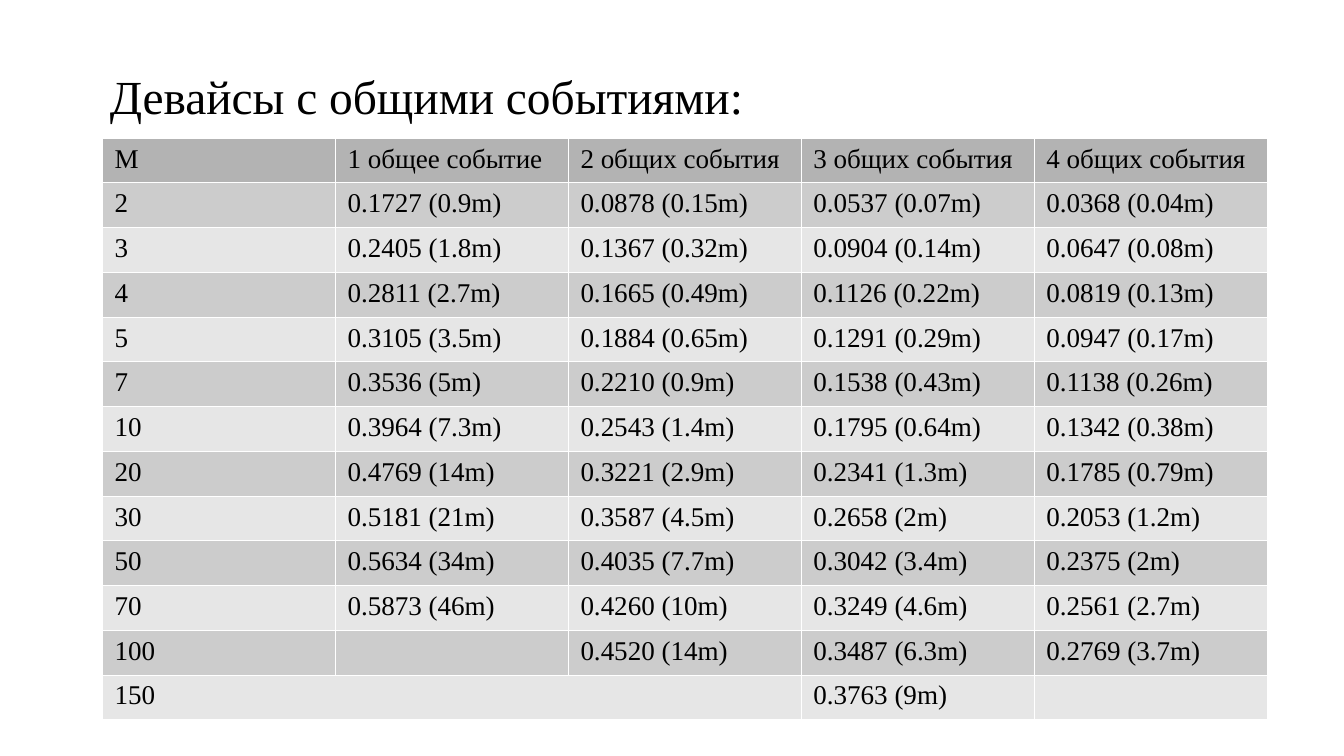
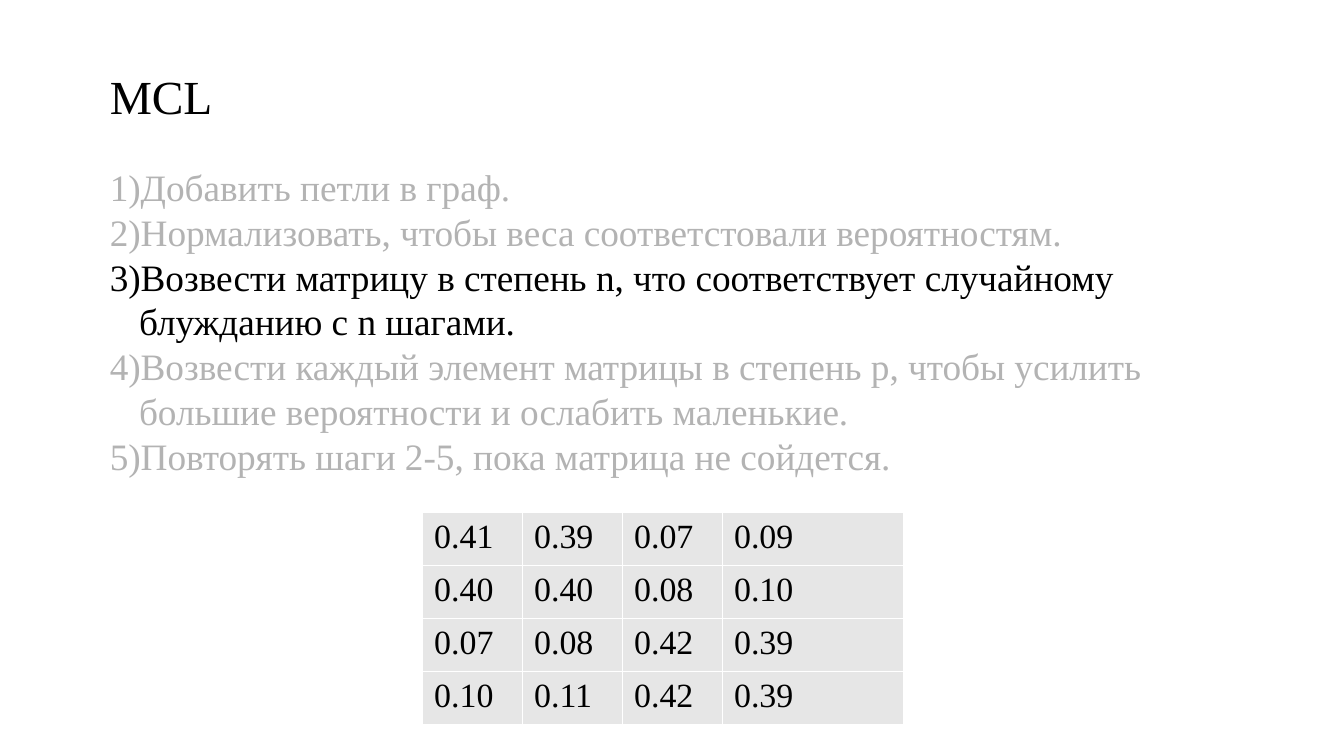
from dataclasses import dataclass, field

from lxml.etree import SubElement
from pptx import Presentation
from pptx.dml.color import RGBColor
from pptx.enum.text import MSO_ANCHOR, MSO_AUTO_SIZE, PP_ALIGN
from pptx.oxml.ns import qn
from pptx.shapes.placeholder import SlidePlaceholder
from pptx.slide import Slide
from pptx.table import _Cell as Cell
from pptx.text.text import _Paragraph as Paragraph
from pptx.util import Inches, Pt

FONT = "Times New Roman"
COLORS = {
    "text": "000000",
    "muted": "B3B3B3",
    "header": "B3B3B3",
    "dark_row": "CCCCCC",
    "light_row": "E6E6E6",
    "border": "FFFFFF",
}
TEXT_LEFT, TEXT_WIDTH = 0.8, 9.4
BORDER_WIDTH = Pt(0.06)
NO_STYLE_ID = "{2D5ABB26-0587-4C30-8999-92F81FD0307C}"
TITLE_ONLY, TITLE_AND_BODY = 5, 1

EVENT_ROWS = [
    ["M", "1 общее событие", "2 общих события", "3 общих события", "4 общих события"],
    ["2", "0.1727 (0.9m)", "0.0878 (0.15m)", "0.0537 (0.07m)", "0.0368 (0.04m)"],
    ["3", "0.2405 (1.8m)", "0.1367 (0.32m)", "0.0904 (0.14m)", "0.0647 (0.08m)"],
    ["4", "0.2811 (2.7m)", "0.1665 (0.49m)", "0.1126 (0.22m)", "0.0819 (0.13m)"],
    ["5", "0.3105 (3.5m)", "0.1884 (0.65m)", "0.1291 (0.29m)", "0.0947 (0.17m)"],
    ["7", "0.3536 (5m)", "0.2210 (0.9m)", "0.1538 (0.43m)", "0.1138 (0.26m)"],
    ["10", "0.3964 (7.3m)", "0.2543 (1.4m)", "0.1795 (0.64m)", "0.1342 (0.38m)"],
    ["20", "0.4769 (14m)", "0.3221 (2.9m)", "0.2341 (1.3m)", "0.1785 (0.79m)"],
    ["30", "0.5181 (21m)", "0.3587 (4.5m)", "0.2658 (2m)", "0.2053 (1.2m)"],
    ["50", "0.5634 (34m)", "0.4035 (7.7m)", "0.3042 (3.4m)", "0.2375 (2m)"],
    ["70", "0.5873 (46m)", "0.4260 (10m)", "0.3249 (4.6m)", "0.2561 (2.7m)"],
    ["100", "", "0.4520 (14m)", "0.3487 (6.3m)", "0.2769 (3.7m)"],
    ["150", "", "", "0.3763 (9m)", ""],
]
MATRIX_ROWS = [
    ["0.41", "0.39", "0.07", "0.09"],
    ["0.40", "0.40", "0.08", "0.10"],
    ["0.07", "0.08", "0.42", "0.39"],
    ["0.10", "0.11", "0.42", "0.39"],
]


@dataclass
class Step:
    text: str
    color: str = "muted"


@dataclass
class Grid:
    """A table; open_edges lists the sides of a cell that have no border."""
    left: float
    top: float
    columns: list[float]
    height: float
    size: int
    rows: list[list[str]]
    fills: list[str]
    open_edges: dict[tuple[int, int], str] = field(default_factory=dict)


STEPS = [
    Step("Добавить петли в граф."),
    Step("Нормализовать, чтобы веса соответстовали вероятностям."),
    Step("Возвести матрицу в степень n, что соответствует случайному "
         "блужданию с n шагами.", "text"),
    Step("Возвести каждый элемент матрицы в степень p, чтобы усилить "
         "большие вероятности и ослабить маленькие."),
    Step("Повторять шаги 2-5, пока матрица не сойдется."),
]
EVENTS = Grid(
    0.84, 1.13, [1.91] * 5, 4.76, 16, EVENT_ROWS,
    ["header"] + ["dark_row", "light_row"] * 6,
    {(11, 1): "B", (12, 0): "R", (12, 1): "LRTB", (12, 2): "L"},
)
MATRIX = Grid(3.46, 4.2, [0.82, 0.82, 0.82, 1.49], 1.72, 20, MATRIX_ROWS,
              ["light_row"] * 4)


def style_runs(paragraph: Paragraph, size: int, color: str = "text") -> None:
    for run in paragraph.runs:
        run.font.name = FONT
        run.font.size = Pt(size)
        run.font.color.rgb = RGBColor.from_string(COLORS[color])


def fill_placeholder(holder: SlidePlaceholder, text: str, top: float,
                     height: float) -> list[Paragraph]:
    """Place the holder in the text column and return its new paragraphs."""
    holder.left, holder.top = Inches(TEXT_LEFT), Inches(top)
    holder.width, holder.height = Inches(TEXT_WIDTH), Inches(height)
    frame = holder.text_frame
    frame.text = text
    frame.vertical_anchor = MSO_ANCHOR.TOP
    frame.word_wrap = True
    frame.auto_size = MSO_AUTO_SIZE.SHAPE_TO_FIT_TEXT
    return list(frame.paragraphs)


def add_titled_slide(deck: Presentation, layout: int, title: str) -> Slide:
    slide = deck.slides.add_slide(deck.slide_layouts[layout])
    for paragraph in fill_placeholder(slide.shapes.title, title, 0.5, 0.53):
        paragraph.alignment = PP_ALIGN.LEFT
        style_runs(paragraph, 28)
    return slide


def number_paragraph(paragraph: Paragraph, color: str) -> None:
    properties = paragraph._p.get_or_add_pPr()
    properties.set("marL", str(Inches(0.24)))
    properties.set("indent", str(-Inches(0.24)))
    number_color = SubElement(properties, qn("a:buClr"))
    SubElement(number_color, qn("a:srgbClr"), val=COLORS[color])
    SubElement(properties, qn("a:buFont"), typeface=FONT)
    SubElement(properties, qn("a:buAutoNum"), type="arabicParenR")


def fill_steps(slide: Slide, steps: list[Step]) -> None:
    text = "\n".join(step.text for step in steps)
    paragraphs = fill_placeholder(slide.placeholders[1], text, 1.3, 2.48)
    for paragraph, step in zip(paragraphs, steps):
        number_paragraph(paragraph, step.color)
        paragraph.space_before = Pt(0)
        style_runs(paragraph, 22, step.color)


def add_borders(cell: Cell, open_sides: str) -> None:
    properties = cell._tc.get_or_add_tcPr()
    for side in "LRTB":
        if side in open_sides:
            continue
        line = SubElement(properties, qn(f"a:ln{side}"), w=str(BORDER_WIDTH))
        fill = SubElement(line, qn("a:solidFill"))
        SubElement(fill, qn("a:srgbClr"), val=COLORS["border"])


def style_cell(cell: Cell, text: str, size: int, fill: str, open_sides: str) -> None:
    cell.text_frame.text = text
    paragraph = cell.text_frame.paragraphs[0]
    style_runs(paragraph, size)
    if not text:
        SubElement(paragraph._p, qn("a:endParaRPr"), sz=str(size * 100))
    add_borders(cell, open_sides)
    cell.fill.solid()
    cell.fill.fore_color.rgb = RGBColor.from_string(COLORS[fill])


def add_grid(slide: Slide, grid: Grid) -> None:
    frame = slide.shapes.add_table(
        len(grid.rows), len(grid.columns), Inches(grid.left), Inches(grid.top),
        Inches(sum(grid.columns)), Inches(grid.height))
    table = frame.table
    table.first_row = table.horz_banding = False
    table._tbl.tblPr.find(qn("a:tableStyleId")).text = NO_STYLE_ID
    for column, width in zip(table.columns, grid.columns):
        column.width = Inches(width)
    for r, (texts, fill) in enumerate(zip(grid.rows, grid.fills)):
        for c, text in enumerate(texts):
            style_cell(table.cell(r, c), text, grid.size, fill,
                       grid.open_edges.get((r, c), ""))


def main() -> None:
    deck = Presentation()
    deck.slide_width, deck.slide_height = Inches(11.02), Inches(6.2)

    events = add_titled_slide(deck, TITLE_ONLY, "Девайсы с общими событиями:")
    add_grid(events, EVENTS)

    clustering = add_titled_slide(deck, TITLE_AND_BODY, "MCL")
    fill_steps(clustering, STEPS)
    add_grid(clustering, MATRIX)

    deck.save("out.pptx")


if __name__ == "__main__":
    main()
